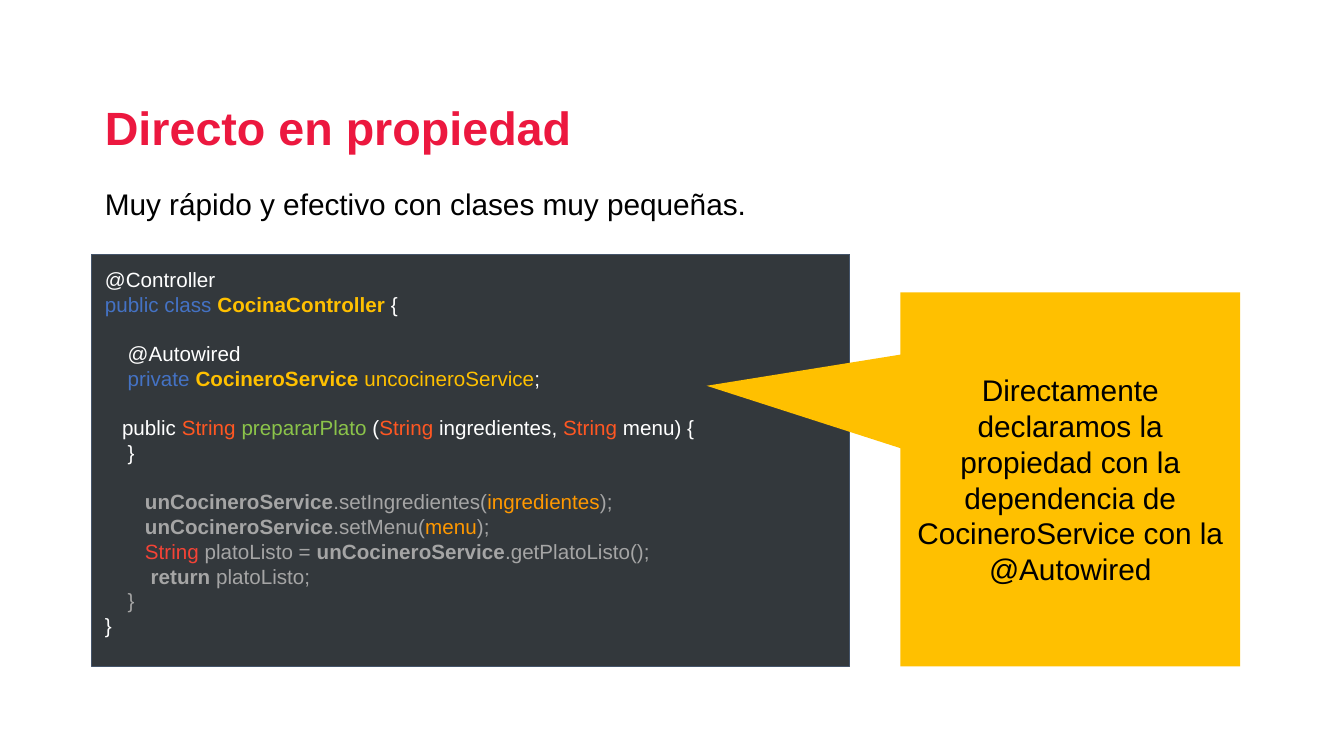
from pptx import Presentation
from pptx.dml.color import RGBColor
from pptx.enum.shapes import MSO_SHAPE as Shape
from pptx.enum.text import MSO_ANCHOR as Anchor, PP_ALIGN as Align
from pptx.util import Inches, Pt

CRIMSON = RGBColor(0xEC, 0x18, 0x3F)
BLACK = RGBColor(0x00, 0x00, 0x00)
WHITE = RGBColor(0xFF, 0xFF, 0xFF)
CHARCOAL = RGBColor(0x33, 0x38, 0x3C)
SLATE = RGBColor(0x44, 0x54, 0x6A)
BLUE = RGBColor(0x44, 0x72, 0xC4)
AMBER = RGBColor(0xFF, 0xC0, 0x00)
VERMILION = RGBColor(0xFF, 0x57, 0x22)
RED = RGBColor(0xF4, 0x43, 0x36)
GREEN = RGBColor(0x8B, 0xC3, 0x4A)
ORANGE = RGBColor(0xFF, 0x98, 0x00)
GRAY = RGBColor(0xA5, 0xA5, 0xA5)

CODE_SIZE = 14.7
BLANK_LINE = Pt(17.6)
COLUMN = Pt(4.09)  # width of one column of code indent

SERVICE = ("unCocineroService", GRAY, True)

# Each line: columns of indent, blank line before it, runs of (text, colour, bold)
CODE = [
    (0, False, [("@Controller", WHITE, False)]),
    (0, False, [("public class ", BLUE, False), ("CocinaController ", AMBER, True),
                ("{", WHITE, False)]),
    (4, True, [("@Autowired", WHITE, False)]),
    (4, False, [("private ", BLUE, False), ("CocineroService", AMBER, True),
                (" uncocineroService", AMBER, False), (";", WHITE, False)]),
    (3, True, [("public ", WHITE, False), ("String ", VERMILION, False),
               ("prepararPlato ", GREEN, False), ("(", WHITE, False),
               ("String", VERMILION, False), (" ingredientes, ", WHITE, False),
               ("String ", VERMILION, False), ("menu) {", WHITE, False)]),
    (4, False, [("}", WHITE, False)]),
    (7, True, [SERVICE, (".setIngredientes(", GRAY, False),
               ("ingredientes", ORANGE, False), (");", GRAY, False)]),
    (7, False, [SERVICE, (".setMenu(", GRAY, False),
                ("menu", ORANGE, False), (");", GRAY, False)]),
    (7, False, [("String", RED, False), (" platoListo = ", GRAY, False),
                SERVICE, (".getPlatoListo();", GRAY, False)]),
    (8, False, [("return ", GRAY, True), ("platoListo;", GRAY, False)]),
    (4, False, [("}", GRAY, False)]),
    (0, False, [("}", WHITE, False)]),
]


class SlideBuilder:
    font = "Arial"
    margin = Inches(0.13)

    def __init__(self, slide):
        self.slide = slide

    def prepare_frame(self, shape, anchor):
        frame = shape.text_frame
        settings = {"word_wrap": True, "vertical_anchor": anchor}
        for side in ("left", "right", "top", "bottom"):
            settings[f"margin_{side}"] = self.margin
        for name, value in settings.items():
            setattr(frame, name, value)
        return frame

    def add_run(self, paragraph, text, size, color, bold=False):
        run = paragraph.add_run()
        run.text = text
        for name, value in {"name": self.font, "size": Pt(size), "bold": bold}.items():
            setattr(run.font, name, value)
        run.font.color.rgb = color

    def fill_text(self, shape, text, size, color, bold=False, anchor=Anchor.TOP, **layout):
        """Fill a shape with one paragraph; layout holds paragraph attributes."""
        paragraph = self.prepare_frame(shape, anchor).paragraphs[0]
        for name, value in layout.items():
            setattr(paragraph, name, value)
        self.add_run(paragraph, text, size, color, bold)

    def text(self, box, *content, **style):
        self.fill_text(self.slide.shapes.add_textbox(*map(Inches, box)), *content, **style)

    def panel(self, kind, box, fill, line=None):
        shape = self.slide.shapes.add_shape(kind, *map(Inches, box))
        shape.shadow.inherit = False
        shape.fill.solid()
        shape.fill.fore_color.rgb = fill
        if line is None:
            shape.line.fill.background()
        else:
            shape.line.color.rgb = line
            shape.line.width = Pt(0.75)
        return shape

    def code(self, box, lines):
        listing = self.panel(Shape.RECTANGLE, box, CHARCOAL, SLATE)
        frame = self.prepare_frame(listing, Anchor.TOP)
        for number, (columns, blank_before, runs) in enumerate(lines):
            paragraph = frame.add_paragraph() if number else frame.paragraphs[0]
            paragraph.alignment = Align.LEFT
            paragraph.space_before = BLANK_LINE if blank_before else Pt(0)
            properties = paragraph._p.get_or_add_pPr()
            properties.set("marL", str(columns * COLUMN))
            properties.set("indent", "0")
            for text, color, bold in runs:
                self.add_run(paragraph, text, CODE_SIZE, color, bold)

    def callout(self, box, pointer, *content):
        bubble = self.panel(Shape.ROUNDED_RECTANGULAR_CALLOUT, box, AMBER)
        for index, value in enumerate((*pointer, 0)):
            bubble.adjustments[index] = value
        self.fill_text(bubble, *content, anchor=Anchor.MIDDLE, alignment=Align.CENTER)


def main():
    deck = Presentation()
    deck.slide_width, deck.slide_height = Inches(13.33), Inches(7.5)
    builder = SlideBuilder(deck.slides.add_slide(deck.slide_layouts[6]))

    builder.text((0.91, 0.87, 11.34, 0.84), "Directo en propiedad", 33.3, CRIMSON,
                 bold=True, anchor=Anchor.MIDDLE, line_spacing=0.9)
    builder.text((0.91, 1.71, 11.34, 4.19),
                 "Muy rápido y efectivo con clases muy pequeñas.", 21.3, BLACK,
                 alignment=Align.JUSTIFY)
    builder.code((0.91, 2.52, 7.52, 4.09), CODE)
    builder.callout((8.93, 2.9, 3.37, 3.71), (-1.07, -0.25),
                    "Directamente declaramos la propiedad con la dependencia de "
                    "CocineroService con la @Autowired", 21.3, BLACK)
    deck.save("out.pptx")


if __name__ == "__main__":
    main()
